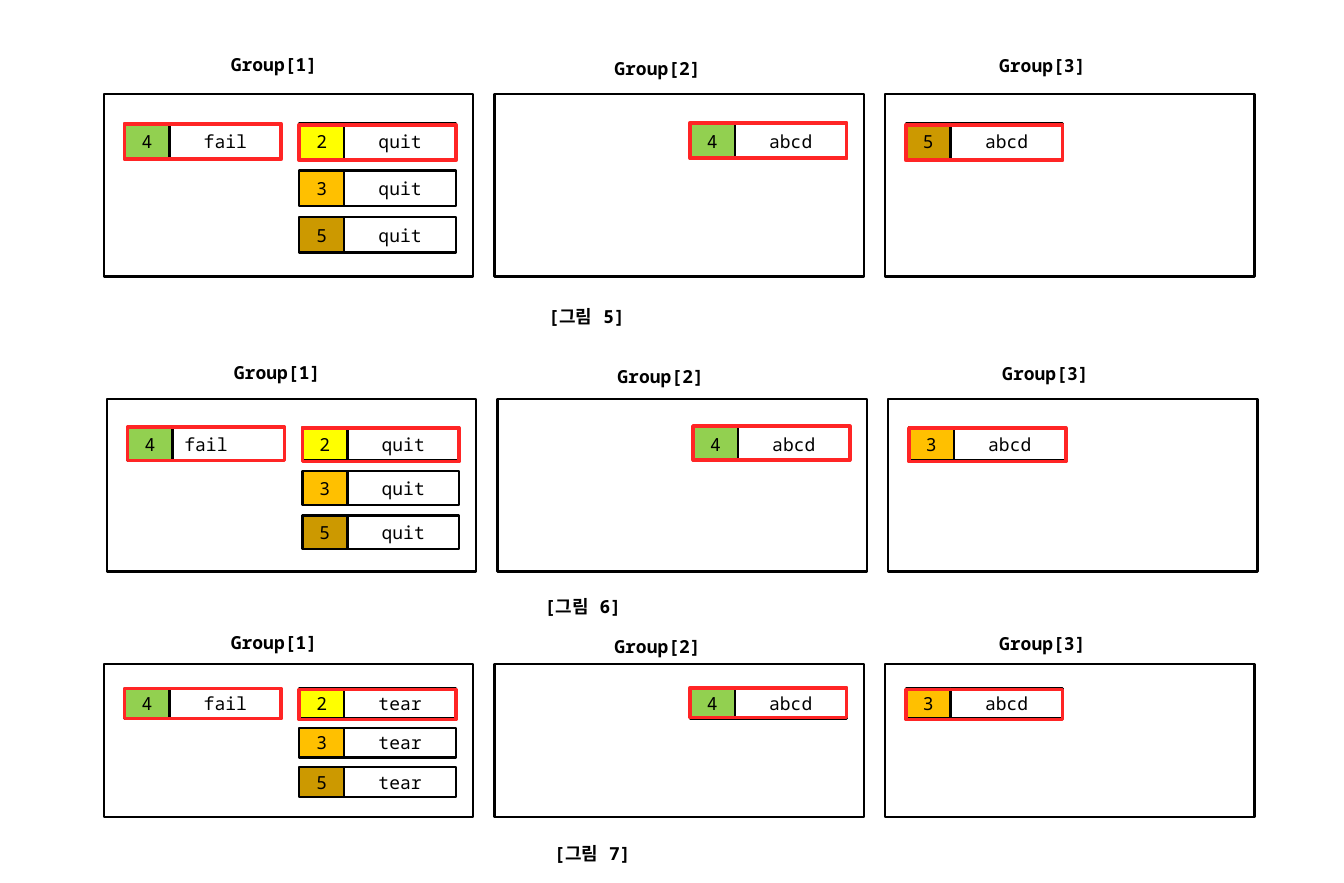
from collections import namedtuple
from dataclasses import dataclass

from lxml import etree
from pptx import Presentation
from pptx.dml import color
from pptx.enum import shapes, text
from pptx.oxml import ns
from pptx.util import Pt


@dataclass(frozen=True)
class Theme:
    """Colours, font and sizes of the slide."""
    font: str = "Noto Sans Mono"
    size: float = 11
    ink: str = "000000"
    paper: str = "FFFFFF"
    mark: str = "FF2525"
    thin: float = 1.5
    thick: float = 2.25
    lead: float = 1.3


LOOK = Theme()
KEYS = {2: "FFFF00", 3: "FFC000", 4: "92D050", 5: "CC9900"}

Box = namedtuple("Box", "x y w h")
Chain = namedtuple("Chain", "slot shift word keys joined", defaults=[False])
Figure = namedtuple("Figure", "name box cap groups")

PITCH = 239
SLOTS = (12.7, 119.6)
KEY_W, WORD_W = 27.5, 68.4
ROW_TOP, ROW_STEP, ROW_H = 0.162, 0.256, 0.195
HEADS = ((70.6, 0.29, 98), (66.3, 0.266, 81), (62.7, 0.284, 81))


def trio(word, last, joined=False):
    """Return the chains of the three groups of a figure."""
    return (
        (Chain(0, 0, "fail", [4], joined), Chain(1, 0.6, word, [2, 3, 5])),
        (Chain(1, -0.6, "abcd", [4]),),
        (Chain(0, 0.6, "abcd", [last]),),
    )


FIGURES = (
    Figure("[그림 5]", Box(63.5, 57.6, 226, 111.6), (264.9, 10.1), trio("quit", 5)),
    Figure("[그림 6]", Box(65.4, 244.1, 226, 105.5), (260.7, 7.4),
           trio("quit", 3, joined=True)),
    Figure("[그림 7]", Box(63.5, 406, 226, 93.6), (268.5, 8), trio("tear", 3)),
)


def write(frame, words, bold=False):
    """Put one run of text in a frame and return its paragraph."""
    para = frame.paragraphs[0]
    run = para.add_run()
    run.text = words
    font = run.font
    font.name, font.size, font.bold = LOOK.font, Pt(LOOK.size), bold
    font.color.rgb = color.RGBColor.from_string(LOOK.ink)
    east = etree.SubElement(run._r.get_or_add_rPr(), ns.qn("a:ea"))
    east.set("typeface", LOOK.font)
    return para


def label(slide, x, y, w, words):
    """Add a bold text label."""
    frame = slide.shapes.add_textbox(Pt(x), Pt(y), Pt(w), Pt(23)).text_frame
    frame.word_wrap = True
    frame.auto_size = text.MSO_AUTO_SIZE.SHAPE_TO_FIT_TEXT
    write(frame, words, bold=True).line_spacing = LOOK.lead


def rect(slide, box, fill=None, line=LOOK.ink, width=LOOK.thin, words=None):
    """Add an outlined rectangle with optional fill and centred text."""
    shape = slide.shapes.add_shape(shapes.MSO_SHAPE.RECTANGLE, *map(Pt, box))
    shape.shadow.inherit = False
    if fill:
        shape.fill.solid()
        shape.fill.fore_color.rgb = color.RGBColor.from_string(fill)
    else:
        shape.fill.background()
    shape.line.color.rgb = color.RGBColor.from_string(line)
    shape.line.width = Pt(width)
    if words:
        shape.text_frame.vertical_anchor = text.MSO_ANCHOR.MIDDLE
        write(shape.text_frame, words).alignment = text.PP_ALIGN.CENTER


def chain(slide, box, item):
    """Stack key and word cells in a group box and mark the first row."""
    x, top = box.x + SLOTS[item.slot], box.y + ROW_TOP * box.h
    high = ROW_H * box.h
    for row, key in enumerate(item.keys):
        y = top + row * ROW_STEP * box.h
        rect(slide, Box(x, y, KEY_W, high), KEYS[key], words=str(key))
        if not item.joined:
            rect(slide, Box(x + KEY_W, y, WORD_W, high), LOOK.paper, words=item.word)
    rect(slide, Box(x, top + item.shift, KEY_W + WORD_W, high), line=LOOK.mark,
         width=LOOK.thick, words=item.word if item.joined else None)


def group(slide, box, num, chains):
    """Draw one titled group box with its chains."""
    dx, rise, wide = HEADS[num]
    label(slide, box.x + dx, box.y - rise * box.h, wide, f"Group[{num + 1}]")
    rect(slide, box)
    for item in chains:
        chain(slide, box, item)


def figure(slide, fig):
    """Draw a row of groups with the caption below."""
    box = fig.box
    for num, chains in enumerate(fig.groups):
        group(slide, box._replace(x=box.x + num * PITCH), num, chains)
    dx, drop = fig.cap
    label(slide, box.x + dx, box.y + box.h + drop, 81.4, fig.name)


def main():
    """Build and save the slide."""
    deck = Presentation()
    deck.slide_width, deck.slide_height = Pt(822.24), Pt(540)
    slide = deck.slides.add_slide(deck.slide_layouts[6])
    for fig in FIGURES:
        figure(slide, fig)
    deck.save("out.pptx")


if __name__ == "__main__":
    main()
